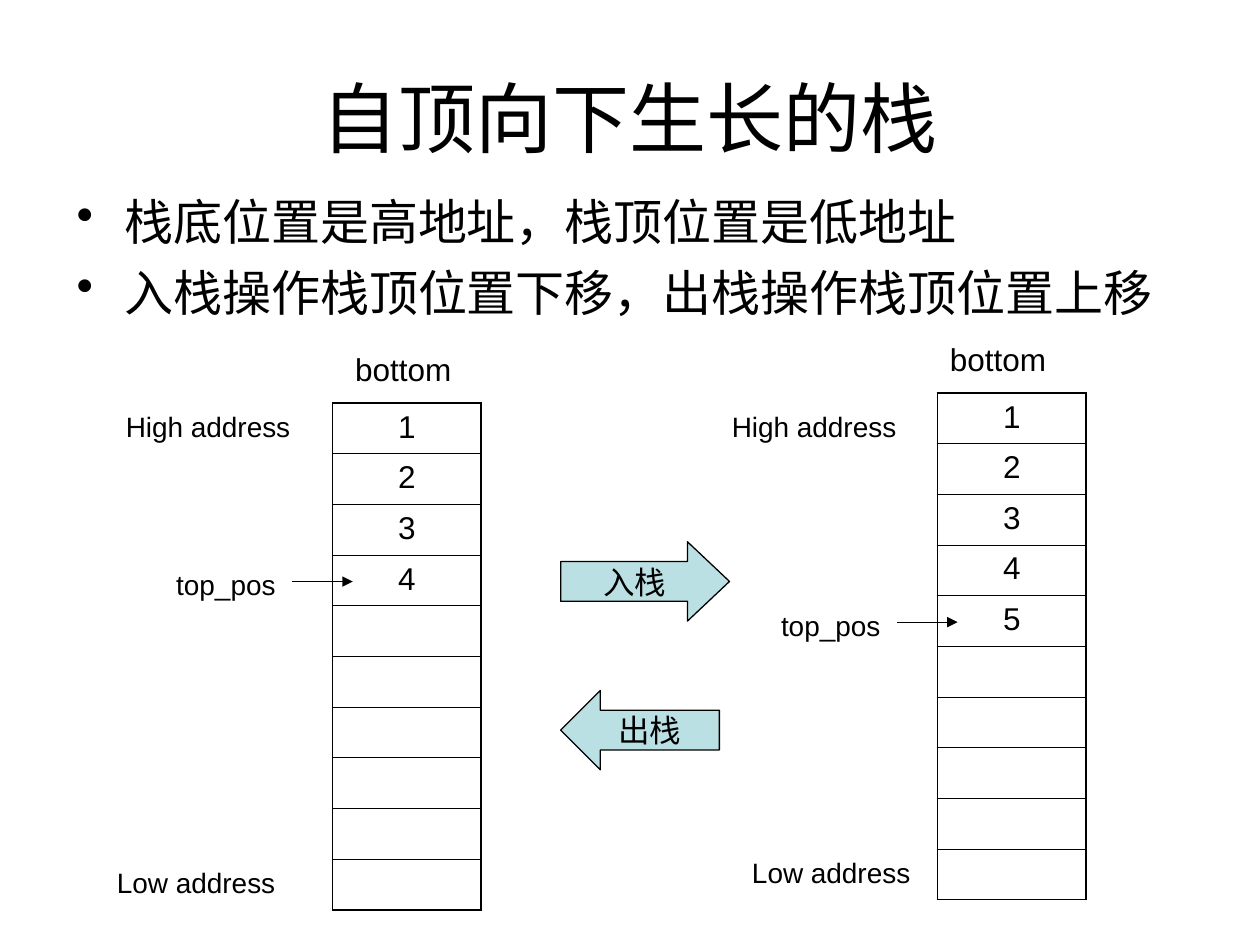
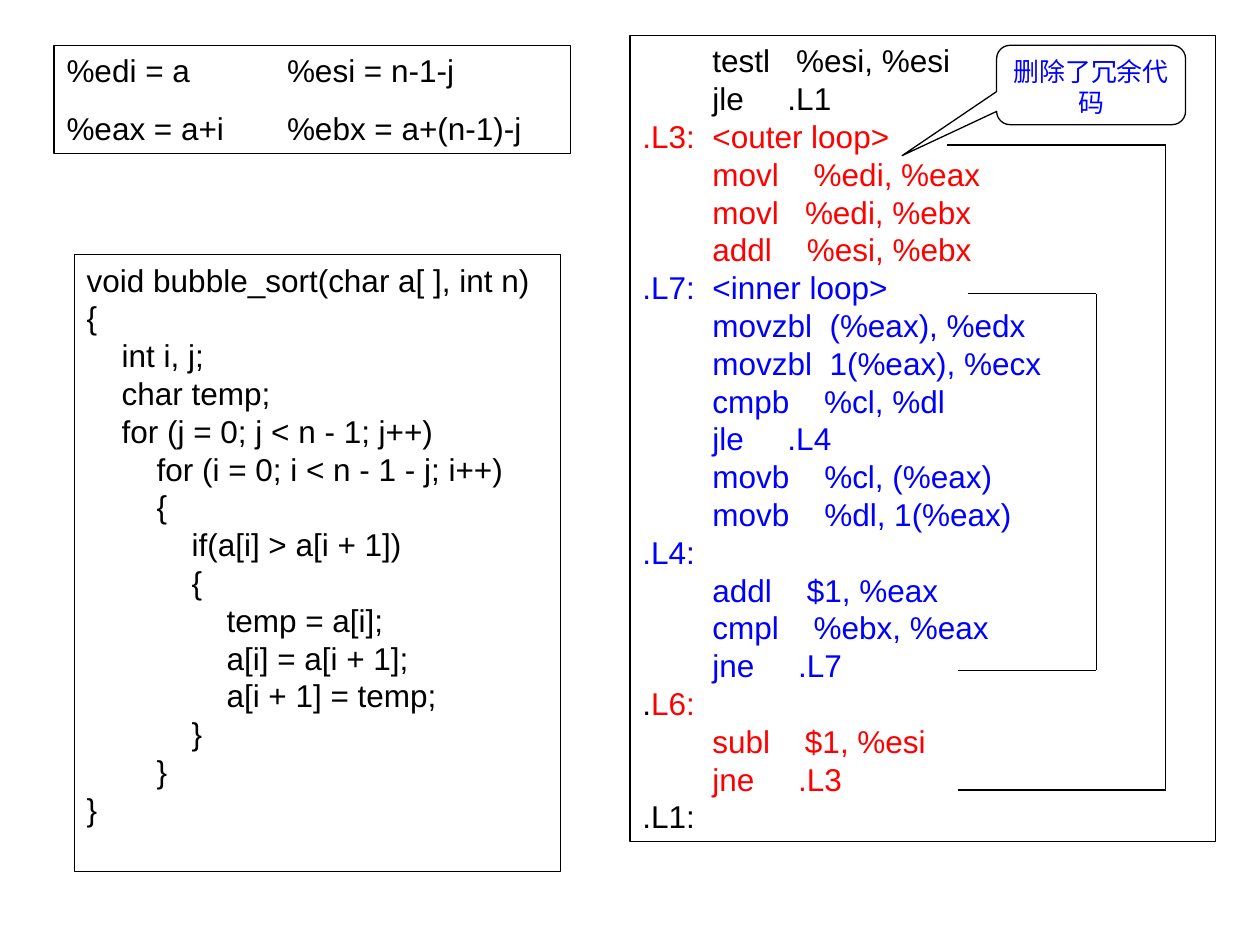
from collections import namedtuple

from lxml.etree import SubElement
from pptx import Presentation
from pptx.dml.color import RGBColor
from pptx.enum.shapes import MSO_CONNECTOR, MSO_SHAPE
from pptx.enum.text import MSO_ANCHOR, PP_ALIGN
from pptx.oxml.ns import qn
from pptx.util import Inches, Pt

COLOURS = {"ink": "000000", "outer": "FF0000", "inner": "0000FF", "arrow": "BBE0E3"}
FONT = "Arial"
LEADING = 1.2
THIN, FRAME, HAIR = 0.75, 1.08, 0.45

# The slide is a grid of 100 columns by 75 rows of square units.
COLUMNS, ROWS = 100, 75
UNIT = Inches(0.1)
SLOTS = 10

Box = namedtuple("Box", "left top width height")

C_SOURCE = """void bubble_sort(char a[ ], int n)
{
    int i, j;
    char temp;
    for (j = 0; j < n - 1; j++)
        for (i = 0; i < n - 1 - j; i++)
        {
            if(a[i] > a[i + 1])
            {
                temp = a[i];
                a[i] = a[i + 1];
                a[i + 1] = temp;
            }
        }
}"""

ASSEMBLY = [
    ("""        testl   %esi, %esi
        jle     .L1
""", "ink"),
    (""".L3:  <outer loop>
        movl    %edi, %eax
        movl   %edi, %ebx
        addl    %esi, %ebx
""", "outer"),
    (""".L7:  <inner loop>
        movzbl  (%eax), %edx
        movzbl  1(%eax), %ecx
        cmpb    %cl, %dl
        jle     .L4
        movb    %cl, (%eax)
        movb    %dl, 1(%eax)
.L4:
        addl    $1, %eax
        cmpl    %ebx, %eax
        jne     .L7
""", "inner"),
    (".", "ink"),
    ("""L6:
        subl    $1, %esi
        jne     .L3
""", "outer"),
    (".L1:", "ink"),
]


def units(*lengths):
    return [round(length * UNIT) for length in lengths]


def within(box, left, top, width, height):
    """Box whose offsets are measured from the corner of another box."""
    return Box(box.left + left, box.top + top, width, height)


def colour(name):
    return RGBColor.from_string(COLOURS[name])


def write_text(frame, text, size=18, ink="ink", align=PP_ALIGN.LEFT,
               anchor=MSO_ANCHOR.TOP, wrap=True, gap=0, fixed_leading=False,
               bullet_indent=None, tab_stop=None):
    """Fill a frame with a string or (string, colour) pieces; newlines start paragraphs."""
    frame.word_wrap = wrap
    frame.vertical_anchor = anchor
    pieces = [(text, ink)] if isinstance(text, str) else text
    paragraph = frame.paragraphs[0]
    for piece, piece_ink in pieces:
        for number, line in enumerate(piece.split("\n")):
            if number:
                paragraph = frame.add_paragraph()
            if line:
                run = paragraph.add_run()
                run.text = line
                run.font.name = FONT
                run.font.size = Pt(size)
                run.font.color.rgb = colour(piece_ink)
    for number, paragraph in enumerate(frame.paragraphs):
        properties = paragraph._p.get_or_add_pPr()
        if bullet_indent:
            properties.set("marL", str(Inches(bullet_indent)))
            properties.set("indent", str(-Inches(bullet_indent)))
            SubElement(properties, qn("a:buChar"), char="•")
        if tab_stop:
            stops = SubElement(properties, qn("a:tabLst"))
            SubElement(stops, qn("a:tab"), pos=str(Inches(tab_stop)), algn="l")
        paragraph.alignment = align
        if number and gap:
            paragraph.space_before = Pt(gap)
        if fixed_leading:
            paragraph.line_spacing = Pt(round(size * LEADING, 1))


def add_label(slide, box, text, **text_format):
    label = slide.shapes.add_textbox(*units(*box))
    write_text(label.text_frame, text, **text_format)


def add_panel(slide, box, text, preset=MSO_SHAPE.RECTANGLE, fill=None,
              adjustments=(), **text_format):
    """Outlined shape holding text."""
    panel = slide.shapes.add_shape(preset, *units(*box))
    panel.shadow.inherit = False
    for number, value in enumerate(adjustments):
        panel.adjustments[number] = value
    if fill:
        panel.fill.solid()
        panel.fill.fore_color.rgb = colour(fill)
    else:
        panel.fill.background()
    panel.line.color.rgb = colour("ink")
    panel.line.width = Pt(THIN)
    write_text(panel.text_frame, text, **text_format)


def add_line(slide, start, end, arrow=False):
    line = slide.shapes.add_connector(MSO_CONNECTOR.STRAIGHT, *units(*start, *end))
    line.line.color.rgb = colour("ink")
    line.line.width = Pt(THIN)
    if arrow:
        SubElement(line.line._get_or_add_ln(), qn("a:tailEnd"), type="triangle")
    SubElement(line._element.spPr, qn("a:effectLst"))


def set_borders(cell, widths):
    properties = cell._tc.get_or_add_tcPr()
    for position, (side, width) in enumerate(widths.items()):
        border = SubElement(properties, qn(f"a:ln{side}"), w=str(Pt(width)))
        fill = SubElement(border, qn("a:solidFill"))
        SubElement(fill, qn("a:srgbClr"), val=COLOURS["ink"])
        properties.remove(border)
        properties.insert(position, border)


def add_memory(slide, box, used):
    """Column of memory slots, the first ones numbered as used."""
    memory = slide.shapes.add_table(SLOTS, 1, *units(*box)).table
    memory.first_row = memory.horz_banding = False
    for slot in range(SLOTS):
        cell = memory.cell(slot, 0)
        cell.fill.background()
        set_borders(cell, {
            "L": FRAME, "R": FRAME,
            "T": FRAME if slot == 0 else HAIR,
            "B": FRAME if slot == SLOTS - 1 else HAIR,
        })
        if slot < used:
            write_text(cell.text_frame, str(slot + 1), align=PP_ALIGN.CENTER)


def add_stack(slide, box, used, bottom_left, high, low_left):
    """Memory column with its address labels and the pointer to the top slot."""
    add_memory(slide, box, used)
    add_label(slide, within(box, bottom_left, -4.7, 10.2, 4), "bottom")
    add_label(slide, within(box, *high, 15.7, 3.7), "High address", size=16)
    add_label(slide, within(box, low_left, 36.2, 15.7, 3.7), "Low address", size=16)
    top_slot = (used - 1) * box.height / SLOTS
    add_label(slide, within(box, -13.4, top_slot + 0.5, 10.2, 3.7), "top_pos", size=16)
    pointer_row = box.top + top_slot + 2.1
    add_line(slide, (box.left - 3.2, pointer_row), (box.left + 1.6, pointer_row), arrow=True)


def add_operations(slide, box):
    """Push arrow above pop arrow."""
    operation = dict(fill="arrow", align=PP_ALIGN.CENTER,
                     anchor=MSO_ANCHOR.MIDDLE, wrap=False)
    add_panel(slide, within(box, 0, 0, box.width, 6.3), "入栈",
              preset=MSO_SHAPE.RIGHT_ARROW, adjustments=(0.5, 0.53), **operation)
    add_panel(slide, within(box, 0, box.height - 6.3, 12.6, 6.3), "出栈",
              preset=MSO_SHAPE.LEFT_ARROW, adjustments=(0.5, 0.5), **operation)


def add_loop_bracket(slide, box, lower_left):
    """Open bracket from the end of a loop back to its start."""
    right, bottom = box.left + box.width, box.top + box.height
    add_line(slide, (box.left, box.top), (right, box.top))
    add_line(slide, (right, box.top), (right, bottom))
    add_line(slide, (lower_left, bottom), (right, bottom))


def add_assembly(slide, box):
    add_panel(slide, box, ASSEMBLY, fixed_leading=True)
    lower_left = box.left + 26
    add_loop_bracket(slide, within(box, 26.8, 20.5, 10.2, 29.9), lower_left)
    add_loop_bracket(slide, within(box, 25.2, 8.7, 17.3, 51.2), lower_left)
    add_panel(slide, within(box, 29.1, 0.8, 15, 6.3), "删除了冗余代码",
              preset=MSO_SHAPE.ROUNDED_RECTANGULAR_CALLOUT, adjustments=(-1, 0.89, 0.17),
              size=14.8, ink="inner", align=PP_ALIGN.CENTER, fixed_leading=True)


def build_stack_slide(slide):
    add_label(slide, Box(5, 3, 90, 12.5), "自顶向下生长的栈", size=44,
              align=PP_ALIGN.CENTER, anchor=MSO_ANCHOR.MIDDLE)
    add_label(slide, Box(5.1, 14.7, 89.8, 13.4),
              "栈底位置是高地址，栈顶位置是低地址\n入栈操作栈顶位置下移，出栈操作栈顶位置上移",
              size=28, gap=7, bullet_indent=0.38, fixed_leading=True)
    add_stack(slide, Box(26.4, 32, 11.8, 40.2), used=4,
              bottom_left=0.8, high=(-17.4, 0), low_left=-18.1)
    add_stack(slide, Box(74.4, 31.2, 11.8, 40.2), used=5,
              bottom_left=0, high=(-17.3, 0.8), low_left=-15.7)
    add_operations(slide, Box(44.5, 43, 13.4, 18.1))


def build_code_slide(slide):
    add_panel(slide, Box(5.9, 20.2, 38.6, 49), C_SOURCE, fixed_leading=True)
    add_assembly(slide, Box(50, 2.8, 46.5, 64))
    add_panel(slide, Box(4.3, 3.6, 41, 8.6),
              "%edi = a\t%esi = n-1-j\n%eax = a+i\t%ebx = a+(n-1)-j",
              gap=11.2, tab_stop=1.75, fixed_leading=True)


def main():
    deck = Presentation()
    deck.slide_width, deck.slide_height = units(COLUMNS, ROWS)
    blank = deck.slide_layouts[6]
    for build in (build_stack_slide, build_code_slide):
        build(deck.slides.add_slide(blank))
    deck.save("out.pptx")


if __name__ == "__main__":
    main()
